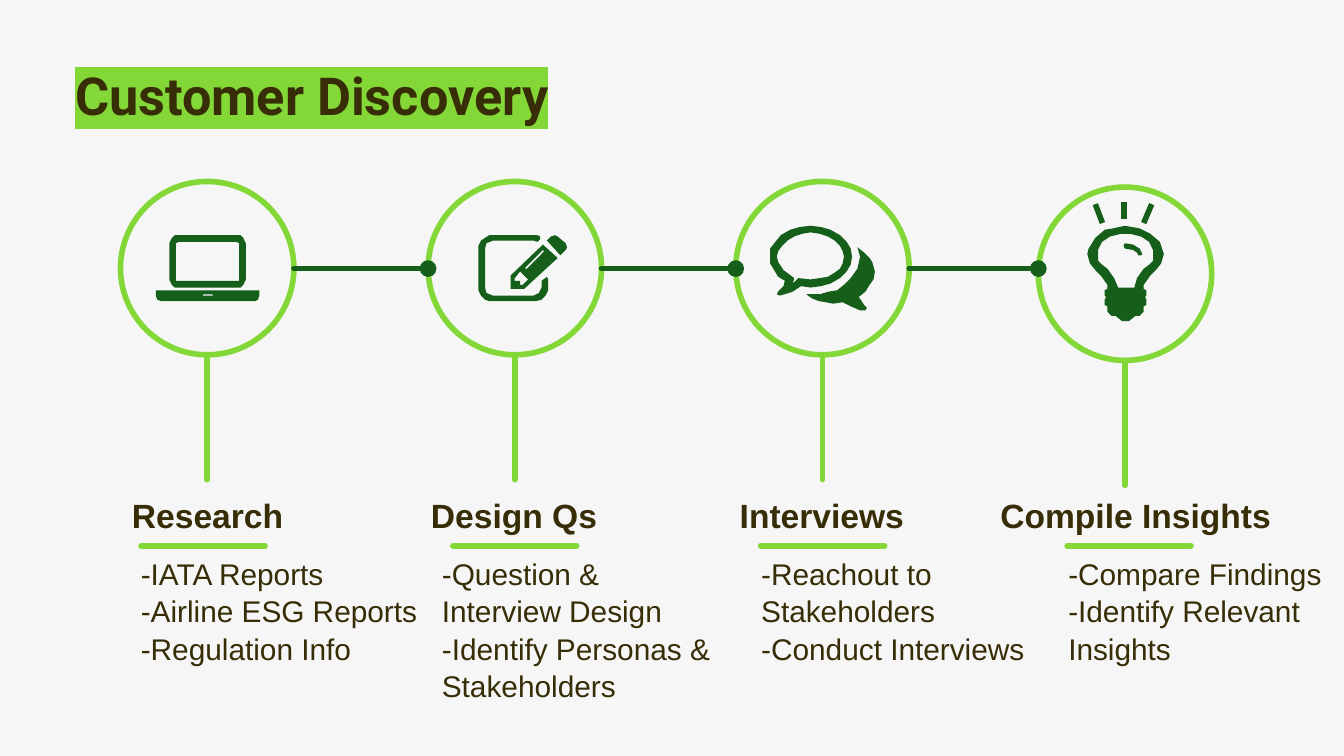
from lxml import etree
from pptx import Presentation
from pptx.dml.color import RGBColor
from pptx.enum.shapes import MSO_CONNECTOR, MSO_SHAPE
from pptx.enum.text import PP_ALIGN
from pptx.oxml.ns import qn
from pptx.util import Pt

LINE = MSO_CONNECTOR.STRAIGHT
OVAL = MSO_SHAPE.OVAL
LEFT, MID = PP_ALIGN.LEFT, PP_ALIGN.CENTER

THEME = {
    "back": RGBColor.from_string("F5F6F5"),
    "lime": RGBColor.from_string("83D837"),
    "pine": RGBColor.from_string("165F1A"),
    "ink": RGBColor.from_string("372D06"),
    "title": Pt(28), "head": Pt(18), "body": Pt(16), "line": Pt(3),
}

deck = Presentation()
deck.slide_width, deck.slide_height = Pt(720), Pt(405)
slide = deck.slides.add_slide(deck.slide_layouts[6])
slide.background.fill.solid()
slide.background.fill.fore_color.rgb = THEME["back"]
shapes = slide.shapes


def draw_line(x1, y1, x2, y2, hue, cap="rnd"):
    line = shapes.add_connector(LINE, Pt(x1), Pt(y1), Pt(x2), Pt(y2))
    line.line.color.rgb = THEME[hue]
    line.line.width = THEME["line"]
    line.line._get_or_add_ln().set("cap", cap)
    etree.SubElement(line._element.spPr, qn("a:effectLst"))
    return line


def add_text(x, y, wide, high, rows, size, font="Arial", bold=False, align=LEFT, after=0):
    frame = shapes.add_textbox(Pt(x), Pt(y), Pt(wide), Pt(high)).text_frame
    frame.word_wrap = True
    frame.margin_left = frame.margin_right = Pt(7.2)
    frame.margin_top = frame.margin_bottom = Pt(7.2)
    frame.text = "\n".join(rows)
    for para in frame.paragraphs:
        para.alignment = align
        para.line_spacing = 1.05
        para.space_after = Pt(after)
        para.font.name = font
        para.font.size = THEME[size]
        para.font.bold = bold
        para.font.color.rgb = THEME["ink"]
    return frame


title = add_text(33.1, 25.2, 651.6, 34.6, ["Customer Discovery"], "title", "Roboto", True)
props = title.paragraphs[0].runs[0].font._element
mark = etree.SubElement(props, qn("a:highlight"))
etree.SubElement(mark, qn("a:srgbClr")).set("val", str(THEME["lime"]))

SIZE = 92.9
STEPS = [
    (111, 0, 33.8, 154.8, "Research", 75.6, 68.4, 169.9,
     ["-IATA Reports", "-Airline ESG Reports", "-Regulation Info"]),
    (275.8, 0, 198, 154.8, "Design Qs", 242.6, 229.7, 163,
     ["-Question & Interview Design", "-Identify Personas & Stakeholders"]),
    (440.6, 0, 362.9, 154.8, "Interviews", 407.5, 400.7, 164.9,
     ["-Reachout to Stakeholders", "-Conduct Interviews"]),
    (602.7, 3, 527.8, 161.3, "Compile Insights", 571.7, 565.2, 154.8,
     ["-Compare Findings", "-Identify Relevant Insights"]),
]

for mid, drop, left, wide, head, rule, start, span, rows in STEPS:
    ring = shapes.add_shape(OVAL, Pt(mid - SIZE / 2), Pt(97.2 + drop), Pt(SIZE), Pt(SIZE))
    ring.shadow.inherit = False
    ring.fill.background()
    ring.line.color.rgb = THEME["lime"]
    ring.line.width = THEME["line"]
    draw_line(mid, 190.1 + drop, mid, 257 + drop, "lime")
    add_text(left, 257, wide, 35.3, [head], "head", bold=True, align=MID, after=16)
    draw_line(rule, 292.4, rule + 66.4, 292.4, "lime")
    add_text(start, 289.4, span, 105, rows, "body")

for here, there in zip(STEPS, STEPS[1:]):
    link = draw_line(here[0] + SIZE / 2, 143.9, there[0] - SIZE / 2, 143.9, "pine")
    etree.SubElement(link.line._get_or_add_ln(), qn("a:tailEnd")).set("type", "oval")

LAPTOP = [
    [(133, 180), (176, 180), (178, 181), (178, 208), (178, 209), (131, 209), (131, 181)],
    [(130, 175), (128, 177), (126, 181), (126, 208), (128, 212), (130, 214), (133, 214),
     (179, 214), (181, 212), (183, 208), (183, 181), (181, 177), (179, 175)],
    [(158, 219), (159, 220), (151, 220), (151, 219)],
    [(116, 216), (116, 220), (117, 223), (120, 224), (190, 224), (192, 223), (193, 220),
     (193, 216)],
]
PENCIL = [
    [(413, 175), (410, 176), (407, 179), (417, 190), (421, 186), (422, 184), (421, 181),
     (415, 176)],
    [(404, 186), (405, 187), (392, 200), (391, 200), (391, 199)],
    [(387, 202), (393, 208), (389, 212), (387, 212), (387, 209), (383, 209), (383, 207)],
    [(404, 182), (380, 205), (380, 215), (390, 215), (415, 192)],
    [(364, 175), (361, 177), (358, 179), (356, 183), (356, 216), (358, 220), (361, 223),
     (364, 224), (399, 224), (403, 223), (406, 220), (408, 216), (408, 208), (407, 206),
     (403, 209), (403, 214), (401, 218), (397, 220), (367, 220), (362, 218), (361, 214),
     (361, 185), (362, 181), (367, 179), (397, 179), (400, 180), (402, 178), (402, 176),
     (400, 175)],
]
CHAT = [
    [(603, 173), (610, 174), (616, 176), (621, 179), (625, 183), (627, 187), (628, 191),
     (627, 196), (625, 200), (621, 203), (616, 206), (610, 207), (603, 208), (594, 207),
     (590, 211), (591, 207), (583, 201), (579, 195), (578, 191), (579, 187), (582, 183),
     (586, 179), (591, 176), (597, 174)],
    [(603, 168), (595, 169), (588, 171), (581, 175), (577, 180), (573, 185), (573, 196),
     (576, 201), (579, 206), (584, 209), (583, 213), (579, 217), (578, 219), (580, 220),
     (584, 219), (590, 217), (596, 213), (603, 214), (611, 213), (618, 211), (625, 207),
     (630, 202), (633, 197), (634, 191), (633, 185), (630, 180), (625, 175), (618, 171),
     (611, 169)],
    [(638, 184), (640, 191), (638, 200), (633, 207), (628, 212), (623, 216), (617, 217),
     (610, 219), (600, 219), (604, 222), (609, 224), (620, 226), (627, 225), (633, 228),
     (640, 231), (644, 231), (645, 229), (643, 227), (641, 224), (639, 221), (644, 217),
     (647, 212), (650, 208), (651, 202), (649, 195), (647, 192), (643, 188)],
]
BULB = [
    [(837, 181), (836, 183), (837, 185), (843, 186), (846, 188), (847, 190), (849, 190),
     (850, 189), (848, 185), (843, 182)],
    [(841, 174), (849, 176), (855, 180), (858, 186), (858, 194), (855, 197), (851, 200),
     (846, 207), (844, 214), (832, 214), (829, 207), (824, 200), (820, 197), (817, 194),
     (817, 186), (820, 180), (826, 176), (834, 174)],
    [(837, 168), (828, 170), (822, 171), (815, 177), (810, 185), (809, 189), (811, 196),
     (815, 201), (819, 205), (824, 212), (824, 215), (822, 216), (822, 220), (823, 221),
     (822, 223), (822, 227), (824, 228), (824, 232), (827, 235), (830, 235), (835, 239),
     (840, 239), (845, 235), (848, 235), (851, 232), (851, 228), (853, 227), (853, 223),
     (852, 221), (853, 220), (853, 216), (851, 215), (851, 212), (856, 205), (860, 201),
     (864, 196), (866, 189), (863, 180), (856, 174), (848, 170)],
]

for icon in (LAPTOP, PENCIL, CHAT, BULB):
    pen = shapes.build_freeform(*icon[0][0], scale=Pt(0.72))
    pen.add_line_segments(icon[0][1:])
    for loop in icon[1:]:
        pen.move_to(*loop[0])
        pen.add_line_segments(loop[1:])
    form = pen.convert_to_shape()
    form.shadow.inherit = False
    form.fill.solid()
    form.fill.fore_color.rgb = THEME["pine"]
    form.line.fill.background()

for ray in ((602, 108, 602, 117.4), (617, 109.4, 612.7, 119.5), (586.8, 109.4, 590.6, 119.5)):
    draw_line(*ray, "pine", "flat")

deck.save("out.pptx")
